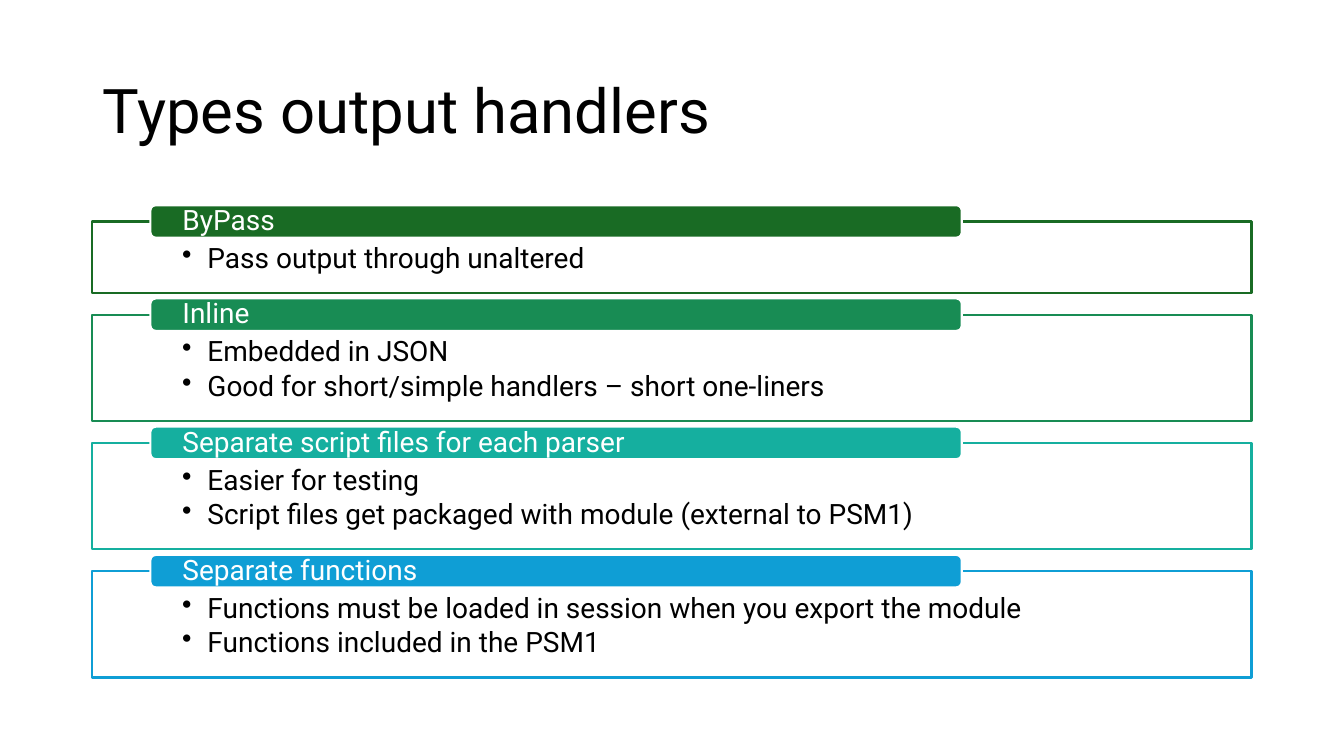
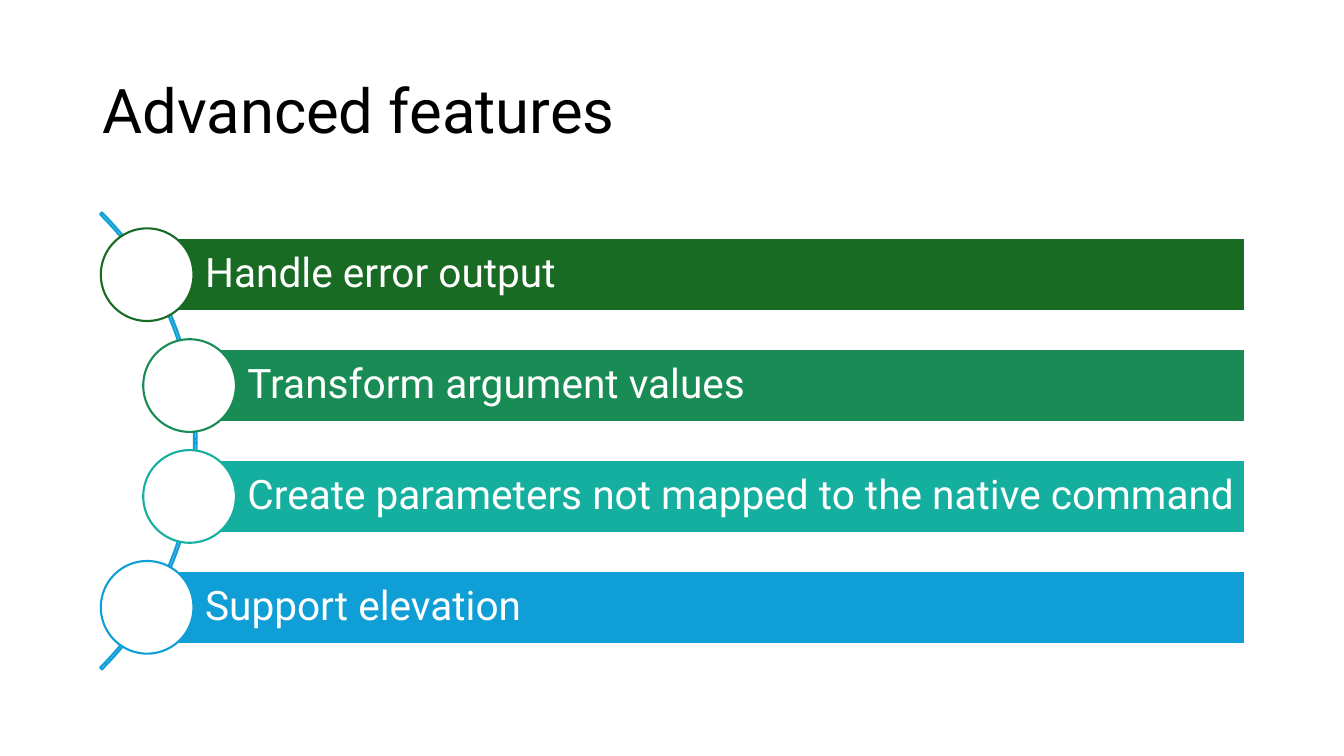
from dataclasses import dataclass

from lxml import etree
from pptx import Presentation
from pptx.dml.color import RGBColor
from pptx.enum import shapes, text
from pptx.oxml import ns
from pptx.util import Pt

KIND = shapes.MSO_SHAPE


@dataclass(frozen=True)
class Theme:
    font: str = "Roboto"
    ink: str = "000000"
    paper: str = "FFFFFF"
    hues: tuple = ("196B24", "188C54", "15AF9F", "0F9ED5")
    title: int = 44
    body: int = 20
    bar: int = 29
    line: float = 1.5


class Deck:
    def __init__(self, theme):
        self.theme = theme
        self.file = Presentation()
        self.file.slide_width, self.file.slide_height = Pt(960), Pt(540)
        self.slide = None

    def start(self, title):
        """Add a slide and set its title."""
        self.slide = self.file.slides.add_slide(self.file.slide_layouts[5])
        head = self.slide.shapes.title
        head.left, head.top, head.width, head.height = map(Pt, (66, 28.8, 828, 104.4))
        self.label(head, [title], self.theme.title, self.theme.ink, (7.2, 3.6, 7.2, 3.6))

    def shape(self, kind, box, fill, line):
        item = self.slide.shapes.add_shape(kind, *map(Pt, box))
        item.shadow.inherit = False
        if fill:
            item.fill.solid()
            item.fill.fore_color.rgb = RGBColor.from_string(fill)
        else:
            item.fill.background()
        item.line.color.rgb = RGBColor.from_string(line)
        item.line.width = Pt(self.theme.line)
        return item

    def label(self, item, lines, size, color, inset, anchor=text.MSO_ANCHOR.MIDDLE, after=0):
        """Fill an item with left-aligned paragraphs; inset is left, top, right, bottom."""
        frame = item.text_frame
        frame.text = "\n".join(lines)
        frame.word_wrap = True
        frame.auto_size = text.MSO_AUTO_SIZE.NONE
        frame.vertical_anchor = anchor
        (frame.margin_left, frame.margin_top,
         frame.margin_right, frame.margin_bottom) = map(Pt, inset)
        for para in frame.paragraphs:
            para.alignment = text.PP_ALIGN.LEFT
            para.line_spacing = 0.9
            para.space_after = Pt(after)
            para.font.name = self.theme.font
            para.font.size = Pt(size)
            para.font.color.rgb = RGBColor.from_string(color)
        return frame.paragraphs

    def bullet(self, para, indent=18):
        props = para._p.get_or_add_pPr()
        props.set("marL", str(Pt(indent)))
        props.set("indent", str(Pt(-indent)))
        mark = etree.Element(ns.qn("a:buChar"), char="•")
        props.find(ns.qn("a:defRPr")).addprevious(mark)

    def panel(self, top, high, hue, name, points):
        """Draw an outlined box of bullets with a name tab on its top edge."""
        look = self.theme
        box = self.shape(KIND.RECTANGLE, (66, top, 828, high), look.paper, hue)
        for para in self.label(box, points, look.body, look.ink, (64.2, 16.4, 64.2, 11.4),
                               text.MSO_ANCHOR.TOP, after=3):
            self.bullet(para)
        tall = 23.2
        tab = self.shape(KIND.ROUNDED_RECTANGLE, (107.4, top - tall / 2, 579.6, tall),
                         hue, look.paper)
        self.label(tab, [name], look.body, look.paper, (21.8, 0, 21.8, 0))

    def bar(self, left, mid, hue, name):
        """Draw a bar with a round marker centred on its left end."""
        look, right, tall, disc = self.theme, 889.2, 52.6, 66.2
        band = self.shape(KIND.RECTANGLE, (left, mid - tall / 2, right - left, tall),
                          hue, look.paper)
        self.label(band, [name], look.bar, look.paper, (42, 5.8, 0, 5.8))
        self.shape(KIND.OVAL, (left + 0.6 - disc / 2, mid - disc / 2, disc, disc),
                   look.paper, hue)

    def curve(self, x, y, radius, hue):
        """Draw a thin arc from -45 to 45 degrees around x, y."""
        box = (x - radius, y - radius, 2 * radius, 2 * radius)
        arc = self.shape(KIND.BLOCK_ARC, box, None, hue)
        for i, value in enumerate((189, 27, 0.004)):
            arc.adjustments[i] = value


def handlers(deck):
    deck.start("Types output handlers")
    panels = (
        ("ByPass", ["Pass output through unaltered"]),
        ("Inline", ["Embedded in JSON",
                    "Good for short/simple handlers – short one-liners"]),
        ("Separate script files for each parser",
         ["Easier for testing",
          "Script files get packaged with module (external to PSM1)"]),
        ("Separate functions",
         ["Functions must be loaded in session when you export the module",
          "Functions included in the PSM1"]),
    )
    top, gap = 158.2, 15.6
    for hue, (name, points) in zip(deck.theme.hues, panels):
        high = 26 + 25 * len(points)
        deck.panel(top, high, hue, name, points)
        top += high + gap


def features(deck):
    deck.start("Advanced features")
    deck.curve(-90.4, 315, 230.8, deck.theme.hues[-1])
    bars = (
        (104.5, "Handle error output"),
        (134.8, "Transform argument values"),
        (134.8, "Create parameters not mapped to the native command"),
        (104.5, "Support elevation"),
    )
    for i, (hue, (left, name)) in enumerate(zip(deck.theme.hues, bars)):
        deck.bar(left, 196.2 + 79.2 * i, hue, name)


def main():
    deck = Deck(Theme())
    handlers(deck)
    features(deck)
    deck.file.save("out.pptx")


if __name__ == "__main__":
    main()
